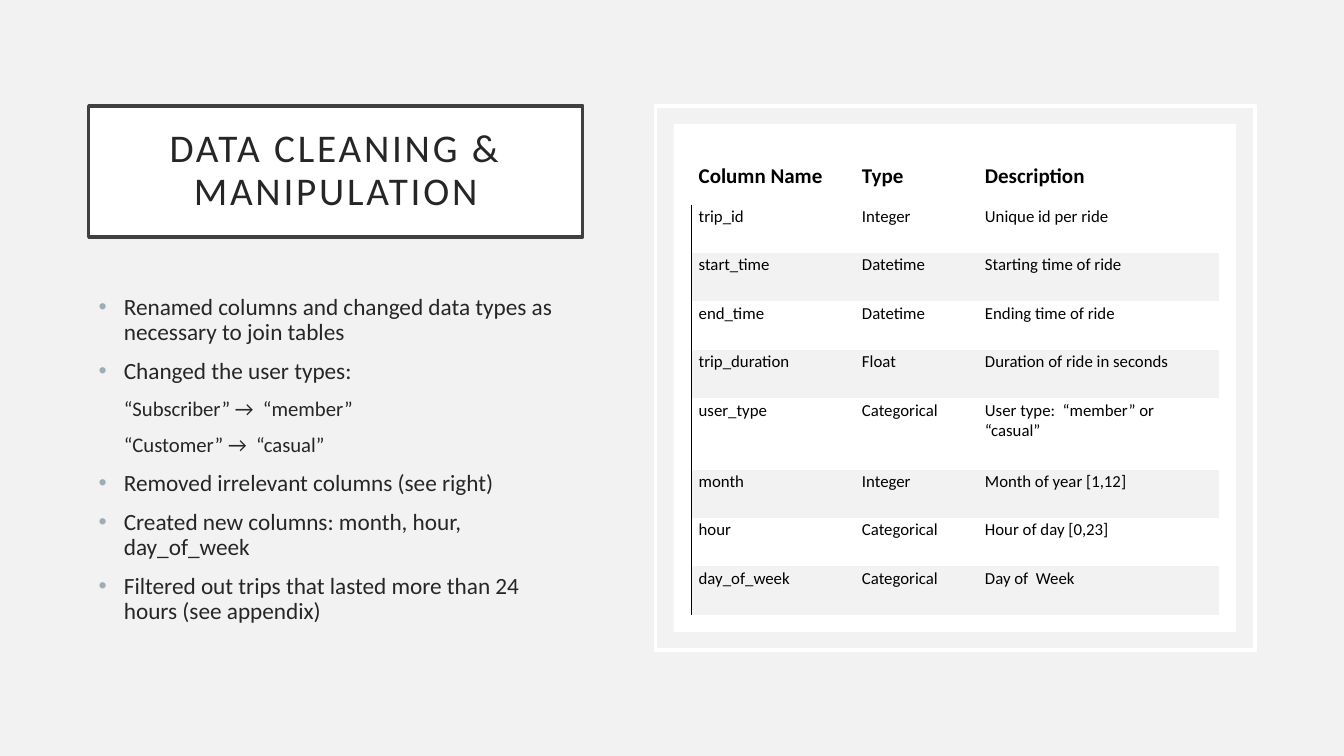
from lxml.etree import SubElement
from pptx import Presentation
from pptx.dml.color import RGBColor
from pptx.enum.shapes import MSO_SHAPE
from pptx.enum.text import MSO_ANCHOR, PP_ALIGN
from pptx.oxml.ns import qn
from pptx.util import Inches, Pt

COLORS = {"background": "F2F2F2", "white": "FFFFFF", "outline": "404040",
          "text": "262626", "bullet": "9BAFB5", "black": "000000"}
NO_TABLE_STYLE = "{2D5ABB26-0587-4C30-8999-92F81FD0307C}"


def color(name):
    return RGBColor.from_string(COLORS[name])


def add_run(paragraph, text, size, color_name, bold=False):
    run = paragraph.add_run()
    run.text = text
    for name, value in {"name": "Calibri", "size": Pt(size), "bold": bold}.items():
        setattr(run.font, name, value)
    run.font.color.rgb = color(color_name)
    return run


presentation = Presentation()
presentation.slide_width, presentation.slide_height = Inches(13.33), Inches(7.5)
slide = presentation.slides.add_slide(presentation.slide_layouts[6])
slide.background.fill.solid()
slide.background.fill.fore_color.rgb = color("background")

# Title box, table frame and table panel: position, fill, line
boxes = {
    "title": ((0.88, 1.05, 4.9, 1.3), "white", "outline"),
    "frame": ((6.5, 1.05, 5.95, 5.4), None, "white"),
    "panel": ((6.68, 1.23, 5.58, 5.04), "white", None),
}
shapes = {}
for name, (position, fill, line) in boxes.items():
    shape = slide.shapes.add_shape(MSO_SHAPE.RECTANGLE, *map(Inches, position))
    shape.shadow.inherit = False
    if fill:
        shape.fill.solid()
        shape.fill.fore_color.rgb = color(fill)
    else:
        shape.fill.background()
    if line:
        shape.line.color.rgb = color(line)
        shape.line.width = Pt(2.5)
    else:
        shape.line.fill.background()
    shapes[name] = shape

# Title text
title_frame = shapes["title"].text_frame
title_format = {"word_wrap": True, "vertical_anchor": MSO_ANCHOR.MIDDLE}
title_format.update({f"margin_{side}": Inches(0.2)
                     for side in ("left", "top", "right", "bottom")})
for name, value in title_format.items():
    setattr(title_frame, name, value)
paragraph = title_frame.paragraphs[0]
paragraph.alignment = PP_ALIGN.CENTER
paragraph.line_spacing = 0.9
title_run = add_run(paragraph, "DATA CLEANING & MANIPULATION", 28, "text")
title_run.font._element.set("spc", "200")

# Cleaning steps: level 0 has a bullet, level 1 is indented text
steps = [
    (0, "Renamed columns and changed data types as necessary to join tables"),
    (0, "Changed the user types:"),
    (1, "“Subscriber” →  “member”"),
    (1, "“Customer” →  “casual”"),
    (0, "Removed irrelevant columns (see right)"),
    (0, "Created new columns: month, hour, day_of_week"),
    (0, "Filtered out trips that lasted more than 24 hours (see appendix)"),
]
steps_box = slide.shapes.add_textbox(*map(Inches, (0.88, 2.88, 4.91, 3.57)))
steps_frame = steps_box.text_frame
steps_frame.word_wrap = True
for index, (level, text) in enumerate(steps):
    paragraph = steps_frame.add_paragraph() if index else steps_frame.paragraphs[0]
    for name, value in {"level": level, "line_spacing": 0.9, "space_before": Pt(10)}.items():
        setattr(paragraph, name, value)
    add_run(paragraph, text, 14.8 if level else 16.6, "text")
    properties = paragraph._p.get_or_add_pPr()
    properties.set("marL", str(Inches(0.25)))
    properties.set("indent", str(0 if level else -Inches(0.25)))
    if level:
        SubElement(properties, qn("a:buNone"))
    else:
        bullet_color = SubElement(properties, qn("a:buClr"))
        SubElement(bullet_color, qn("a:srgbClr"), val=COLORS["bullet"])
        SubElement(properties, qn("a:buFont"), typeface="Arial")
        SubElement(properties, qn("a:buChar"), char="•")

# Column table
rows = [
    ("Column Name", "Type", "Description"),
    ("trip_id", "Integer", "Unique id per ride"),
    ("start_time", "Datetime", "Starting time of ride"),
    ("end_time", "Datetime", "Ending time of ride"),
    ("trip_duration", "Float", "Duration of ride in seconds"),
    ("user_type", "Categorical", "User type:  “member” or “casual”"),
    ("month", "Integer", "Month of year [1,12]"),
    ("hour", "Categorical", "Hour of day [0,23]"),
    ("day_of_week", "Categorical", "Day of  Week"),
]
row_heights = {0: 0.56, 5: 0.71}
cell_margins = {"margin_left": 0.07, "margin_top": 0.02,
                "margin_right": 0.08, "margin_bottom": 0.15}
table = slide.shapes.add_table(len(rows), 3, *map(Inches, (6.86, 1.47, 5.23, 4.62))).table
table.horz_banding = False
table._tbl.tblPr.find(qn("a:tableStyleId")).text = NO_TABLE_STYLE
for column, width in zip(table.columns, (1.62, 1.22, 2.39)):
    column.width = Inches(width)
for row_index, row in enumerate(rows):
    table.rows[row_index].height = Inches(row_heights.get(row_index, 0.48))
    is_header = row_index == 0
    for column_index, text in enumerate(row):
        cell = table.cell(row_index, column_index)
        for name, value in cell_margins.items():
            setattr(cell, name, Inches(value))
        cell.vertical_anchor = MSO_ANCHOR.BOTTOM if is_header else MSO_ANCHOR.TOP
        add_run(cell.text_frame.paragraphs[0], text, 15 if is_header else 12, "black", is_header)
        # Left rule beside the body rows, placed ahead of the fill
        if column_index == 0 and not is_header:
            border = SubElement(cell._tc.get_or_add_tcPr(), qn("a:lnL"), w=str(Pt(0.75)))
            border_fill = SubElement(border, qn("a:solidFill"))
            SubElement(border_fill, qn("a:srgbClr"), val=COLORS["black"])
        # Shade every second body row
        if row_index % 2 == 0 and not is_header:
            cell.fill.solid()
            cell.fill.fore_color.rgb = color("background")
        else:
            cell.fill.background()

presentation.save("out.pptx")
